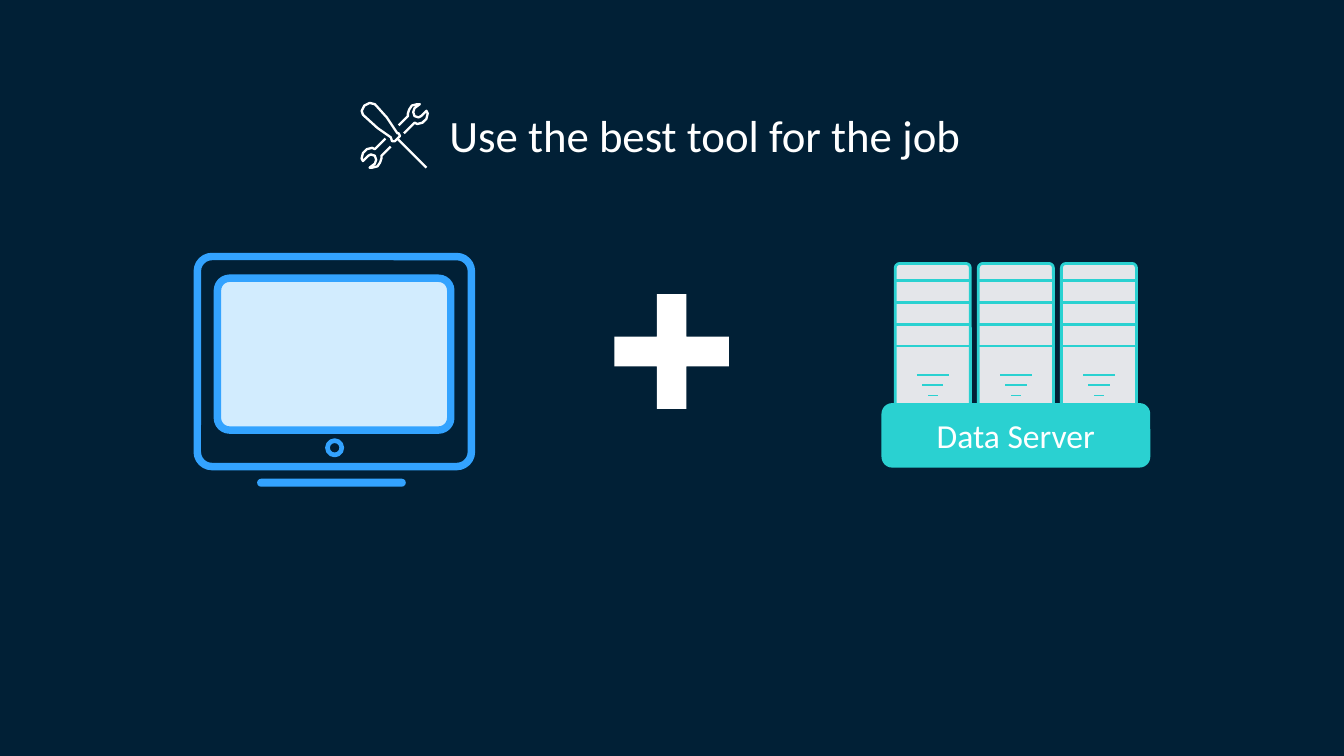
"""Build a slide pairing a computer with a data server under the line 'Use the best tool for the job'."""
from pptx import Presentation
from pptx.dml.color import RGBColor
from pptx.enum.shapes import MSO_CONNECTOR, MSO_SHAPE as SHAPE
from pptx.enum.text import MSO_ANCHOR as ANCHOR, MSO_AUTO_SIZE as AUTO, PP_ALIGN as ALIGN
from pptx.oxml.ns import qn
from pptx.util import Cm, Pt
from lxml.etree import SubElement

NAVY, WHITE, BLUE, TEAL = "012036", "FFFFFF", "33A3FF", "2AD1D1"
PALE_BLUE, GREY = "D2ECFE", "E4E6EA"


def paint(sp, fill=None, line=None, width=1):
    sp.shadow.inherit = False
    if fill:
        sp.fill.solid()
        sp.fill.fore_color.rgb = RGBColor.from_string(fill)
    else:
        sp.fill.background()
    if line:
        sp.line.color.rgb = RGBColor.from_string(line)
        sp.line.width = Pt(width)
    else:
        sp.line.fill.background()


def write(sp, text, size, align):
    tf = sp.text_frame
    tf.text = text
    tf.auto_size = AUTO.NONE
    tf.vertical_anchor = ANCHOR.MIDDLE
    p = tf.paragraphs[0]
    p.alignment = align
    r = p.runs[0]
    r.font.name = "Calibri"
    r.font.size = Pt(size)
    r.font.color.rgb = RGBColor.from_string(WHITE)


prs = Presentation()
prs.slide_width, prs.slide_height = Cm(25.4), Cm(14.29)
s = prs.slides.add_slide(prs.slide_layouts[5])
s.background.fill.solid()
s.background.fill.fore_color.rgb = RGBColor.from_string(NAVY)

title = s.shapes.title
title.left, title.top, title.width, title.height = Cm(8.24), Cm(1.9), Cm(10.34), Cm(1.27)
write(title, "Use the best tool for the job", 24, ALIGN.LEFT)

plus = s.shapes.add_shape(SHAPE.MATH_PLUS, Cm(11.22), Cm(5.17), Cm(2.95), Cm(2.95))
plus.adjustments[0] = 0.19
paint(plus, WHITE)

handle = [(28, 24), (20, 12), (11, 2), (7, 1), (3, 3), (1, 7), (2, 10), (13, 20),
          (23, 27), (24, 30), (26, 30), (30, 26), (29, 24)]
shaft = [(28, 28), (50, 50)]
wrench = [(19, 28), (11, 36), (9, 35), (5, 36), (2, 39), (1, 43), (2, 45), (6, 41),
          (8, 40), (11, 41), (12, 44), (11, 47), (7, 50), (9, 50), (13, 49), (15, 46),
          (16, 43), (16, 41), (23, 34)]
wrench_top = [(52 - x, 52 - y) for x, y in wrench]
for points, closed in [(handle, True), (shaft, False), (wrench, False), (wrench_top, False)]:
    fb = s.shapes.build_freeform(*points[0], scale=Cm(0.025))
    fb.add_line_segments(points[1:], close=closed)
    paint(fb.convert_to_shape(Cm(6.81), Cm(1.92)), line=WHITE, width=1.25)

tower_width = 1.42
for i in range(3):
    left = 16.92 + i * 1.57
    middle = left + tower_width / 2
    tower = s.shapes.add_shape(SHAPE.ROUNDED_RECTANGLE, Cm(left), Cm(4.98), Cm(tower_width), Cm(2.84))
    tower.adjustments[0] = 0.06
    paint(tower, GREY, TEAL, 1.5)
    shelves = [(5.31 + n * 0.41, tower_width / 2, 1.5) for n in range(4)]
    vents = [(7.09, 0.3, 0.75), (7.28, 0.2, 0.75), (7.47, 0.09, 0.75)]
    for y, half, width in shelves + vents:
        line = s.shapes.add_connector(MSO_CONNECTOR.STRAIGHT, Cm(middle - half), Cm(y), Cm(middle + half), Cm(y))
        line.line.color.rgb = RGBColor.from_string(TEAL)
        line.line.width = Pt(width)
        SubElement(line._element.spPr, qn("a:effectLst"))

server = s.shapes.add_shape(SHAPE.ROUNDED_RECTANGLE, Cm(16.66), Cm(7.62), Cm(5.08), Cm(1.22))
paint(server, TEAL)
write(server, "Data Server", 18, ALIGN.CENTER)

monitor = [
    (3.73, 4.85, 5.18, 3.97, 0.07, None, BLUE, 4),
    (4.11, 5.26, 4.41, 2.87, 0.08, PALE_BLUE, BLUE, 4),
    (6.19, 8.33, 0.27, 0.27, 0.5, None, BLUE, 2.5),
    (4.86, 9.05, 2.81, 0.15, 0.5, BLUE, None, 0),
]
for left, top, width, height, corner, fill, line, weight in monitor:
    sp = s.shapes.add_shape(SHAPE.ROUNDED_RECTANGLE, Cm(left), Cm(top), Cm(width), Cm(height))
    sp.adjustments[0] = corner
    paint(sp, fill, line, weight)

prs.save("out.pptx")
